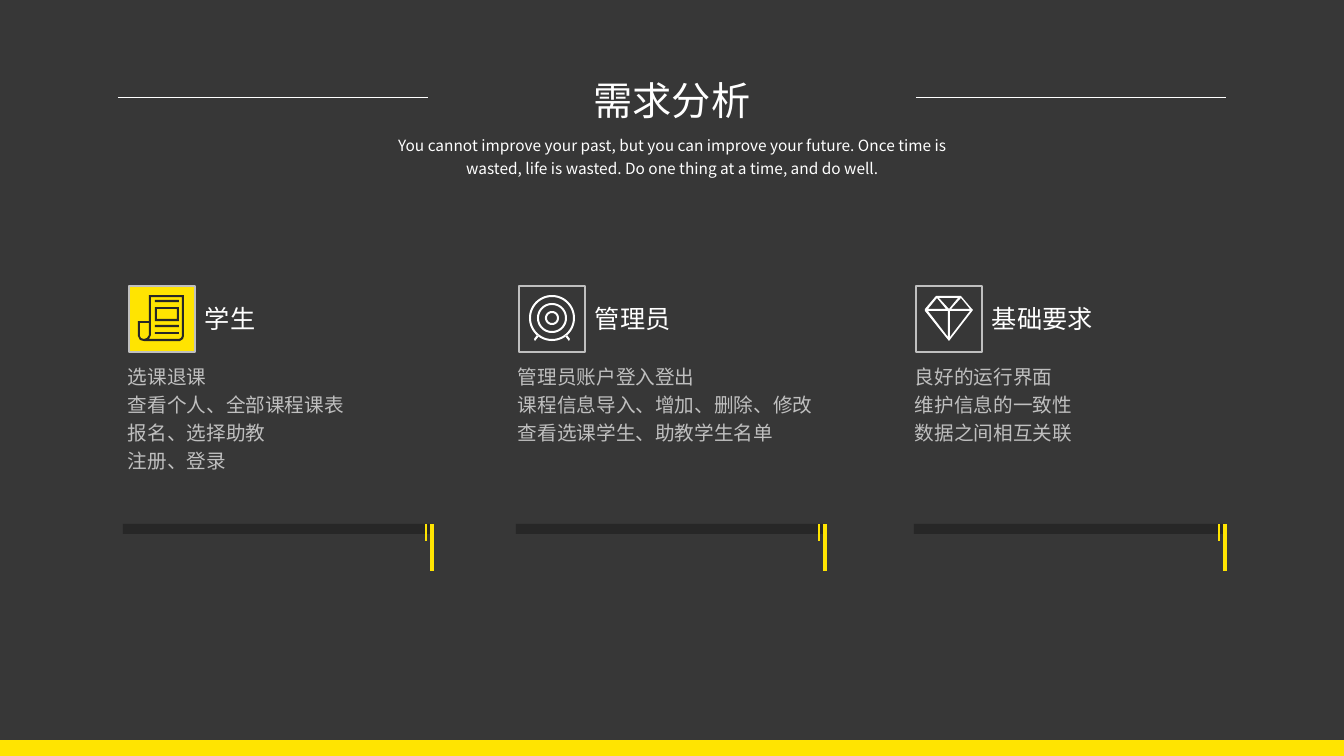
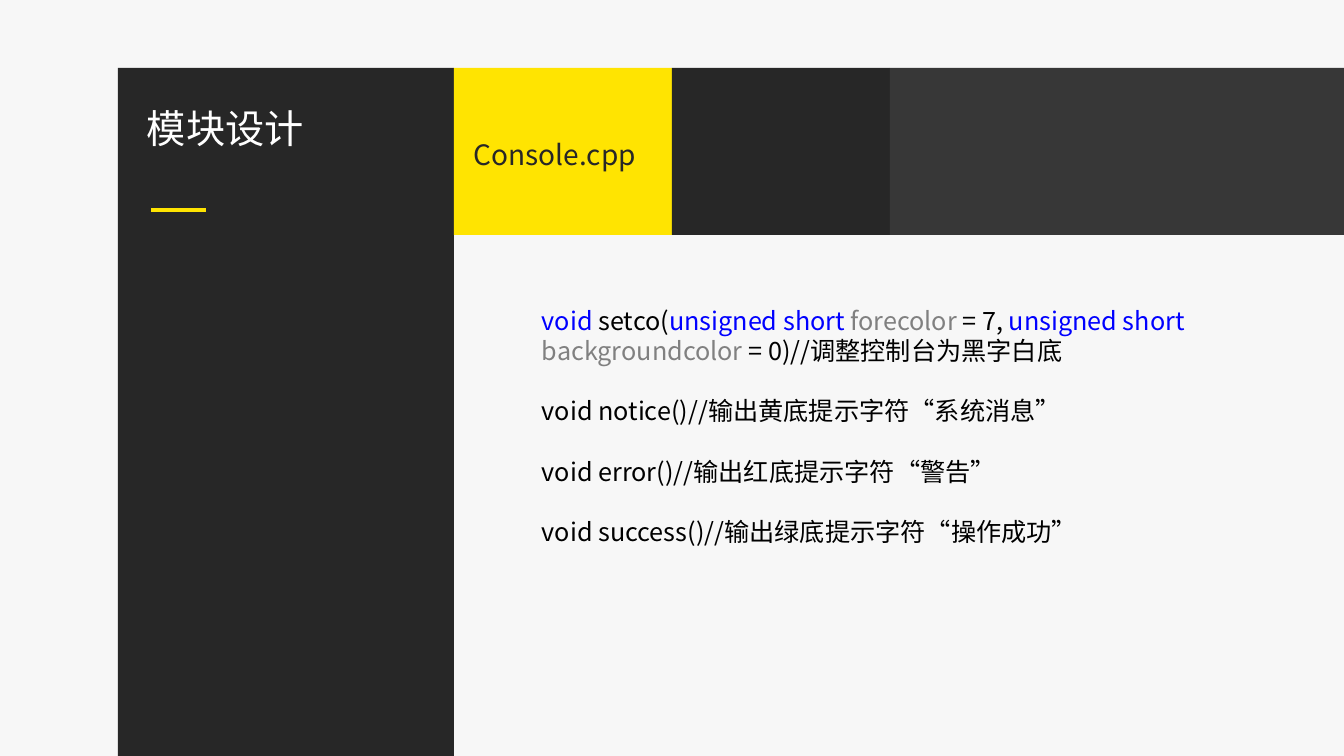
"""Build two slides: a requirements overview and a module design page."""
from dataclasses import dataclass
from math import cos, pi, sin
from typing import Optional

from pptx import Presentation
from pptx.dml.color import RGBColor
from pptx.enum.lang import MSO_LANGUAGE_ID
from pptx.enum.shapes import MSO_CONNECTOR, MSO_SHAPE
from pptx.enum.text import PP_ALIGN
from pptx.oxml.ns import qn
from pptx.slide import Slide
from pptx.util import Emu, Pt

RECTANGLE = MSO_SHAPE.RECTANGLE
STRAIGHT = MSO_CONNECTOR.STRAIGHT
LEFT, CENTER = PP_ALIGN.LEFT, PP_ALIGN.CENTER
CHINESE = MSO_LANGUAGE_ID.SIMPLIFIED_CHINESE

SLIDE_WIDTH, SLIDE_HEIGHT = 1344, 756
EMU_PER_PX = 12192000 / SLIDE_WIDTH
FONT = "Noto Sans CJK SC"
COLOURS = {
    "charcoal": "373737",
    "black": "272727",
    "yellow": "FFE401",
    "white": "FFFFFF",
    "silver": "BFBFBF",
    "paper": "F7F7F7",
    "code": "000000",
    "keyword": "0000FF",
    "parameter": "808080",
}

Point = tuple[float, float]
Contour = list[Point]


@dataclass(frozen=True)
class Box:
    left: int
    top: int
    width: int
    height: int


@dataclass(frozen=True)
class Run:
    text: str
    colour: str


@dataclass(frozen=True)
class Style:
    size: int
    align: PP_ALIGN = LEFT
    line_spacing: float = 1.0
    space_after: float = 0
    wrap: bool = True


@dataclass(frozen=True)
class Column:
    left: int
    bar_left: int
    tick: int
    heading: str
    items: tuple[str, ...]
    icon: list[Contour]
    icon_colour: str
    badge_fill: Optional[str] = None


TITLE = Style(28, wrap=False)
CENTRED_TITLE = Style(28, CENTER, wrap=False)
SUBTITLE = Style(11, CENTER, 1.2)
HEADING = Style(18, wrap=False)
ITEMS = Style(14, line_spacing=1.2)
FILE_NAME = Style(20)
CODE = Style(18, space_after=21.5)


def px(length: float) -> Emu:
    return Emu(round(length * EMU_PER_PX))


def colour_of(name: str) -> RGBColor:
    return RGBColor.from_string(COLOURS[name])


def frame(left: int, top: int, right: int, bottom: int) -> Contour:
    return [(left, top), (right, top), (right, bottom), (left, bottom)]


def ring(radius: int, steps: int = 72) -> Contour:
    angles = [2 * pi * step / steps for step in range(steps)]
    return [(33 + radius * cos(angle), 32 + radius * sin(angle)) for angle in angles]


FOOT = [(18, 49), (15, 53), (16, 55), (20, 50)]
NEWSPAPER = [
    [(20, 9), (55, 9), (55, 50), (54, 53), (51, 55), (15, 55), (11, 54), (9, 50), (9, 35), (20, 35)],
    [(15, 53), (18, 52), (20, 49), (20, 37), (11, 37), (11, 50), (12, 52)],
    [(53, 50), (53, 11), (22, 11), (22, 49), (20, 53), (50, 53), (52, 52)],
    frame(26, 14, 50, 16),
    frame(26, 21, 50, 35),
    frame(28, 23, 48, 33),
    frame(26, 39, 50, 41),
    frame(26, 46, 50, 48),
]
TARGET = [ring(radius) for radius in (23, 21, 15, 13, 7, 5)]
TARGET += [FOOT, [(66 - x, y) for x, y in FOOT]]
DIAMOND = [
    [(56, 23), (57, 24), (33, 55), (9, 25), (9, 23), (20, 10), (45, 10)],
    [(32, 25), (12, 25), (32, 51)],
    [(21, 12), (12, 23), (30, 23)],
    [(33, 23), (42, 12), (23, 12)],
    [(34, 51), (54, 25), (34, 25)],
    [(54, 23), (45, 12), (35, 23)],
]

COLUMNS = (
    Column(129, 123, 432, "学生",
           ("选课退课", "查看个人、全部课程课表", "报名、选择助教", "注册、登录"),
           NEWSPAPER, "black", "yellow"),
    Column(519, 516, 825, "管理员",
           ("管理员账户登入登出", "课程信息导入、增加、删除、修改", "查看选课学生、助教学生名单"),
           TARGET, "white"),
    Column(916, 914, 1225, "基础要求",
           ("良好的运行界面", "维护信息的一致性", "数据之间相互关联"),
           DIAMOND, "white"),
)

PANELS = (
    (Box(118, 68, 336, 688), "black"),
    (Box(454, 68, 218, 167), "yellow"),
    (Box(672, 68, 218, 167), "black"),
    (Box(890, 68, 454, 167), "charcoal"),
)
CODE_LINES = [
    [
        Run("void ", "keyword"),
        Run("setco(", "code"),
        Run("unsigned short ", "keyword"),
        Run("forecolor", "parameter"),
        Run(" = 7, ", "code"),
        Run("unsigned short ", "keyword"),
        Run("backgroundcolor", "parameter"),
        Run(" = 0)//调整控制台为黑字白底", "code"),
    ],
    [Run("void notice()//输出黄底提示字符“系统消息”", "code")],
    [Run("void error()//输出红底提示字符“警告”", "code")],
    [Run("void success()//输出绿底提示字符“操作成功”", "code")],
]


def add_slide(presentation: Presentation, background: str) -> Slide:
    slide = presentation.slides.add_slide(presentation.slide_layouts[6])
    slide.background.fill.solid()
    slide.background.fill.fore_color.rgb = colour_of(background)
    return slide


def add_rectangle(slide: Slide, box: Box, fill: Optional[str], outline: Optional[str] = None) -> None:
    shape = slide.shapes.add_shape(RECTANGLE, px(box.left), px(box.top), px(box.width), px(box.height))
    shape.shadow.inherit = False
    if fill:
        shape.fill.solid()
        shape.fill.fore_color.rgb = colour_of(fill)
    else:
        shape.fill.background()
    if outline:
        shape.line.color.rgb = colour_of(outline)
        shape.line.width = Pt(1)
    else:
        shape.line.fill.background()


def add_line(slide: Slide, start: Point, end: Point, colour: str, width: float) -> None:
    line = slide.shapes.add_connector(STRAIGHT, px(start[0]), px(start[1]), px(end[0]), px(end[1]))
    line.line.color.rgb = colour_of(colour)
    line.line.width = Pt(width)
    properties = line._element.spPr
    properties.append(properties.makeelement(qn("a:effectLst"), {}))


def add_icon(slide: Slide, left: int, top: int, contours: list[Contour], colour: str) -> None:
    placed = [[(px(left + x), px(top + y)) for x, y in contour] for contour in contours]
    builder = slide.shapes.build_freeform(*placed[0][0], scale=1.0)
    builder.add_line_segments(placed[0][1:], close=True)
    for contour in placed[1:]:
        builder.move_to(*contour[0])
        builder.add_line_segments(contour[1:], close=True)
    shape = builder.convert_to_shape()
    shape.shadow.inherit = False
    shape.fill.solid()
    shape.fill.fore_color.rgb = colour_of(colour)
    shape.line.fill.background()


def add_text(slide: Slide, box: Box, paragraphs: list[list[Run]], style: Style) -> None:
    shape = slide.shapes.add_textbox(px(box.left), px(box.top), px(box.width), px(box.height))
    text_frame = shape.text_frame
    text_frame.word_wrap = style.wrap
    for index, runs in enumerate(paragraphs):
        paragraph = text_frame.add_paragraph() if index else text_frame.paragraphs[0]
        paragraph.alignment = style.align
        paragraph.line_spacing = style.line_spacing
        paragraph.space_after = Pt(style.space_after)
        for content in runs:
            run = paragraph.add_run()
            run.text = content.text
            run.font.size = Pt(style.size)
            run.font.name = FONT
            run.font.language_id = CHINESE
            run.font.color.rgb = colour_of(content.colour)
            properties = run._r.get_or_add_rPr()
            properties.append(properties.makeelement(qn("a:ea"), {"typeface": FONT}))


def add_column(slide: Slide, column: Column) -> None:
    badge = Box(column.left, 286, 66, 66)
    add_rectangle(slide, badge, column.badge_fill, "silver")
    add_icon(slide, badge.left, badge.top, column.icon, column.icon_colour)
    add_text(slide, Box(column.left + 66, 298, 122, 40), [[Run(column.heading, "white")]], HEADING)
    items = [[Run(item, "silver")] for item in column.items]
    add_text(slide, Box(column.left - 11, 355, 326, 122), items, ITEMS)
    add_rectangle(slide, Box(column.bar_left, 524, 311, 10), "black")
    add_line(slide, (column.tick, 524), (column.tick, 571), "yellow", 3)
    add_line(slide, (column.tick - 6, 524), (column.tick - 6, 541), "yellow", 1.5)


def build_requirements(presentation: Presentation) -> None:
    slide = add_slide(presentation, "charcoal")
    add_text(slide, Box(583, 71, 178, 57), [[Run("需求分析", "white")]], CENTRED_TITLE)
    for left in (118, 916):
        add_line(slide, (left, 97), (left + 310, 97), "white", 0.5)
    motto = ("You cannot improve your past, but you can improve your future. "
             "Once time is wasted, life is wasted. Do one thing at a time, and do well.")
    add_text(slide, Box(374, 128, 597, 53), [[Run(motto, "white")]], SUBTITLE)
    for column in COLUMNS:
        add_column(slide, column)
    add_rectangle(slide, Box(0, 740, SLIDE_WIDTH, 16), "yellow")


def build_module_design(presentation: Presentation) -> None:
    slide = add_slide(presentation, "paper")
    for box, fill in PANELS:
        add_rectangle(slide, box, fill)
    add_text(slide, Box(137, 99, 190, 57), [[Run("模块设计", "white")]], TITLE)
    add_line(slide, (151, 210), (206, 210), "yellow", 3)
    add_text(slide, Box(464, 133, 198, 44), [[Run("Console.cpp", "black")]], FILE_NAME)
    add_text(slide, Box(532, 300, 672, 286), CODE_LINES, CODE)


def main() -> None:
    presentation = Presentation()
    presentation.slide_width = px(SLIDE_WIDTH)
    presentation.slide_height = px(SLIDE_HEIGHT)
    build_requirements(presentation)
    build_module_design(presentation)
    presentation.save("out.pptx")


if __name__ == "__main__":
    main()
